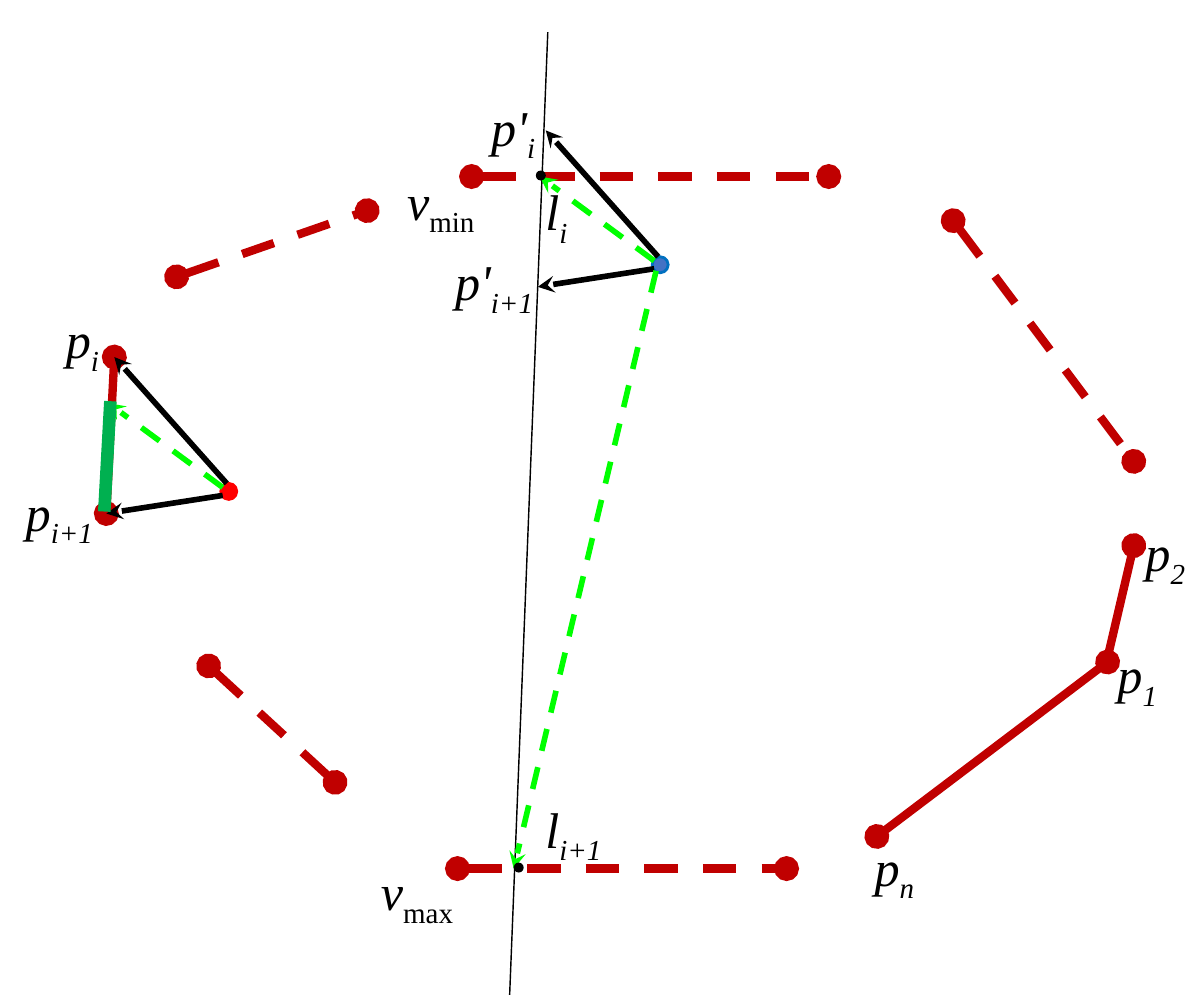
"""Draw a polygon chain with visibility rays and their translated copy."""
from lxml import etree
from pptx import Presentation
from pptx import util as u
from pptx.dml.color import RGBColor
from pptx.enum import dml, shapes, text
from pptx.oxml import ns

RED, BLACK, LIME, GREEN = "C00000", "000000", "00FF00", "00B050"


def color(value):
    return RGBColor.from_string(value)


def add_run(p, content, size=18, italic=True, baseline=0, fill=BLACK):
    r = p.add_run()
    r.text = content
    r.font.name = "Times New Roman"
    r.font.size = u.Pt(size)
    r.font.italic = italic
    r.font.color.rgb = color(fill)
    if baseline:
        r._r.get_or_add_rPr().set("baseline", str(baseline * 1000))


class Diagram:
    def __init__(self, s):
        self.s = s

    def line(self, start, end, stroke=RED, width=3, dash=False, head=None, tail=None):
        ends = [u.Inches(v) for v in (*start, *end)]
        sp = self.s.shapes.add_connector(shapes.MSO_CONNECTOR.STRAIGHT, *ends)
        sp.line.color.rgb = color(stroke)
        sp.line.width = u.Pt(width)
        if dash:
            sp.line.dash_style = dml.MSO_LINE.DASH
        ln = sp.line._get_or_add_ln()
        for tag, kind in (("a:headEnd", head), ("a:tailEnd", tail)):
            if kind:
                etree.SubElement(ln, ns.qn(tag), type=kind)
        etree.SubElement(sp._element.spPr, ns.qn("a:effectLst"))

    def edge(self, start, end, dash=False, head="oval"):
        self.line(start, end, dash=dash, head=head, tail="oval")

    def ray(self, start, end, stroke=BLACK, dash=False):
        self.line(start, end, stroke, 2, dash, tail="stealth")

    def dot(self, x, y, size, fill, outline=None):
        box = [u.Inches(v) for v in (x, y, size, size)]
        sp = self.s.shapes.add_shape(shapes.MSO_SHAPE.OVAL, *box)
        sp.shadow.inherit = False
        sp.fill.solid()
        sp.fill.fore_color.rgb = color(fill)
        if outline:
            sp.line.color.rgb = color(outline)
            sp.line.width = u.Pt(1)
        else:
            sp.line.fill.background()

    def label(self, x, y, width, name, index, italic=True):
        box = [u.Inches(v) for v in (x, y, width, 0.4)]
        tf = self.s.shapes.add_textbox(*box).text_frame
        tf.word_wrap = True
        tf.auto_size = text.MSO_AUTO_SIZE.SHAPE_TO_FIT_TEXT
        p = tf.paragraphs[0]
        add_run(p, name)
        add_run(p, index, italic=italic, baseline=-25)

    def viewpoint(self, dx, dy, fill, outline):
        def at(x, y):
            return x + dx, y + dy

        self.dot(*at(1.1, 2.41), 0.08, fill, outline)
        self.ray(at(1.11, 2.43), at(0.54, 2.01), LIME, dash=True)
        self.ray(at(1.13, 2.41), at(0.57, 1.78))
        self.ray(at(1.11, 2.47), at(0.53, 2.56))


def main():
    prs = Presentation()
    prs.slide_width, prs.slide_height = u.Inches(6), u.Inches(5)
    d = Diagram(prs.slides.add_slide(prs.slide_layouts[6]))

    for start, end in (
        ((2.28, 4.33), (3.92, 4.33)),
        ((1.67, 3.9), (1.04, 3.32)),
        ((0.88, 1.38), (1.83, 1.05)),
        ((2.35, 0.88), (4.13, 0.88)),
        ((4.75, 1.1), (5.65, 2.3)),
    ):
        d.edge(start, end, dash=True)
    d.edge((0.53, 2.56), (0.57, 1.78))
    d.edge((4.37, 4.17), (5.52, 3.3))
    d.edge((5.51, 3.32), (5.65, 2.72), head=None)

    d.line((2.73, 0.16), (2.54, 4.96), BLACK, 0.5)
    d.viewpoint(2.15, -1.13, "4472C4", "0070C0")
    d.ray((3.27, 1.35), (2.56, 4.33), LIME, dash=True)
    d.viewpoint(0, 0, "FF0000", "FF0000")
    for x, y in ((2.67, 0.85), (2.56, 4.3)):
        d.dot(x, y, 0.05, BLACK)
    d.line((0.55, 2), (0.52, 2.55), GREEN, 4.5)

    for x, y, width, name, index in (
        (5.47, 3.16, 0.42, "p", "1"),
        (5.61, 2.55, 0.5, "p", "2"),
        (4.26, 4.12, 0.65, "p", "n"),
        (0.23, 1.49, 0.5, "p", "i"),
        (0.03, 2.35, 0.83, "p", "i+1"),
        (2.35, 0.43, 0.5, "p'", "i"),
        (2.17, 1.2, 0.7, "p'", "i+1"),
        (2.62, 0.85, 0.5, "l", "i"),
        (2.62, 3.93, 0.7, "l", "i+1"),
    ):
        d.label(x, y, width, name, index)
    d.label(1.8, 4.24, 0.67, "v", "max", italic=False)
    d.label(1.93, 0.8, 0.58, "v", "min", italic=False)
    prs.save("out.pptx")


if __name__ == "__main__":
    main()
